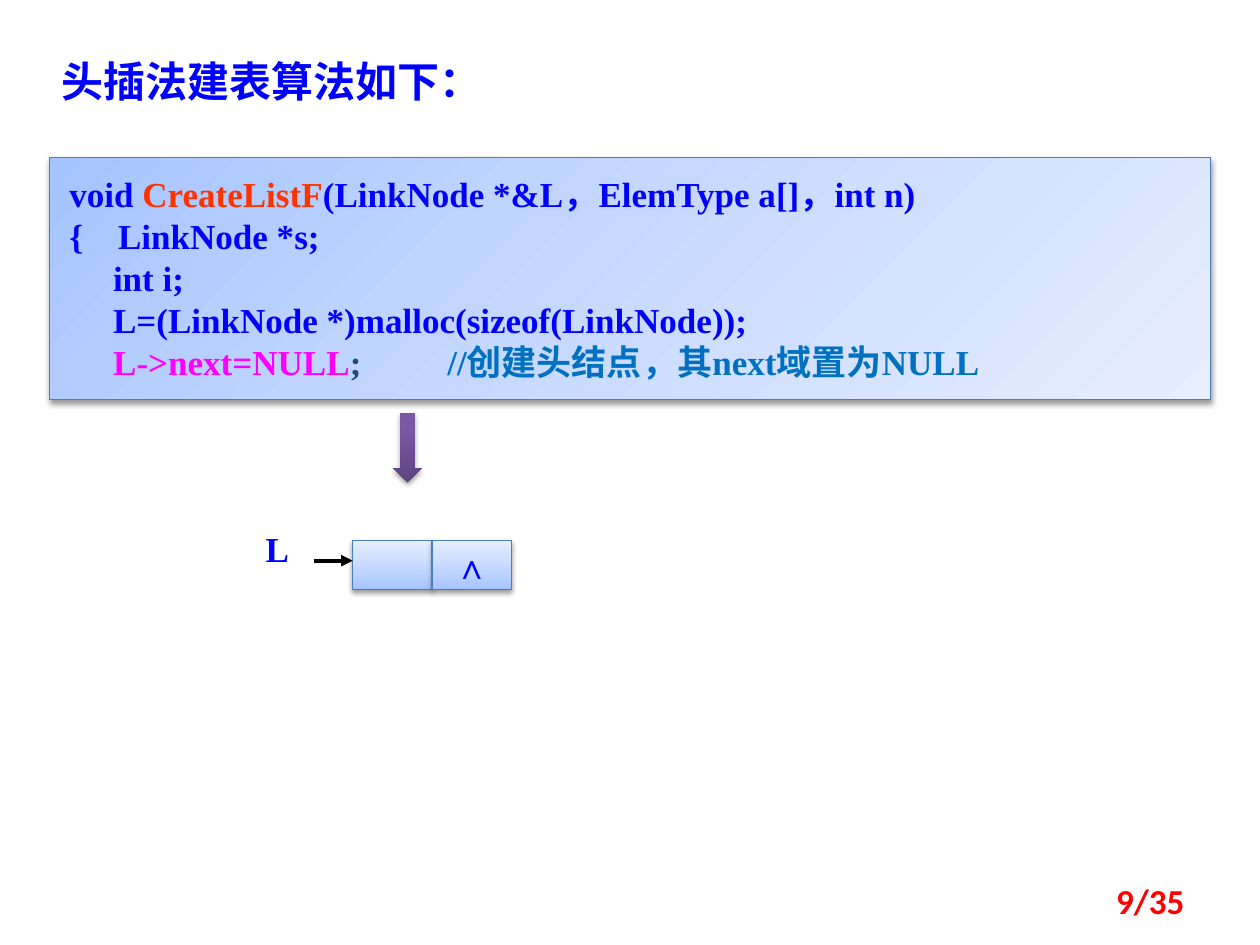
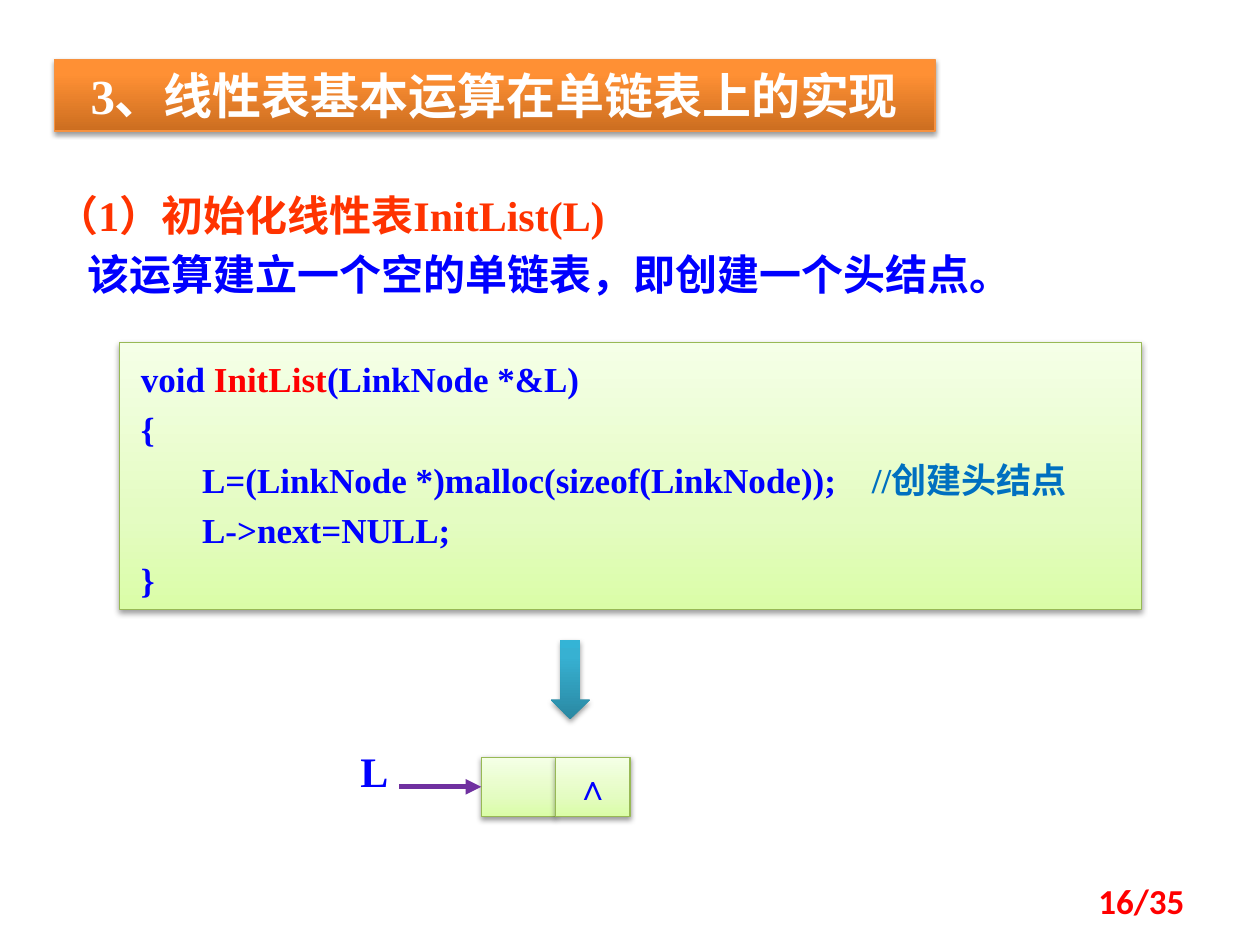
from lxml import etree
from pptx import Presentation
from pptx.dml.color import RGBColor
from pptx.enum.shapes import MSO_CONNECTOR, MSO_SHAPE
from pptx.enum.text import MSO_ANCHOR, MSO_AUTO_SIZE, PP_ALIGN
from pptx.oxml import parse_xml
from pptx.oxml.ns import nsdecls, qn
from pptx.util import Inches, Pt

RECT, DOWN_ARROW = MSO_SHAPE.RECTANGLE, MSO_SHAPE.DOWN_ARROW
STRAIGHT = MSO_CONNECTOR.STRAIGHT
TOP, MIDDLE = MSO_ANCHOR.TOP, MSO_ANCHOR.MIDDLE
LEFT, CENTER, RIGHT = PP_ALIGN.LEFT, PP_ALIGN.CENTER, PP_ALIGN.RIGHT
GROW, FIXED = MSO_AUTO_SIZE.SHAPE_TO_FIT_TEXT, MSO_AUTO_SIZE.NONE

BLUE = RGBColor(0x00, 0x00, 0xFF)
RED = RGBColor(0xFF, 0x00, 0x00)
ORANGE_RED = RGBColor(0xFF, 0x33, 0x00)
MAGENTA = RGBColor(0xFF, 0x00, 0xFF)
NAVY = RGBColor(0x1F, 0x49, 0x7D)
COMMENT = RGBColor(0x00, 0x70, 0xC0)
WHITE = RGBColor(0xFF, 0xFF, 0xFF)
BLACK = RGBColor(0x00, 0x00, 0x00)
PURPLE = RGBColor(0x70, 0x30, 0xA0)
BLUE_EDGE = RGBColor(0x4B, 0x7E, 0xBC)
GREEN_EDGE = RGBColor(0x98, 0xB9, 0x55)
ORANGE_EDGE = RGBColor(0xF6, 0x92, 0x40)

PALE_BLUE = [(0, "A4C4FF"), (35, "BFD4FF"), (100, "E6EEFF")]
PALE_GREEN = [(0, "DAFDA7"), (35, "E4FCC2"), (100, "F5FFE7")]
DEEP_ORANGE = [(0, "CC6E20"), (80, "FF9034"), (100, "FF9136")]
DEEP_PURPLE = [(0, "5F4480"), (80, "7B58A6"), (100, "7C57A8")]
DEEP_TEAL = [(0, "2A88A2"), (80, "37B1D2"), (100, "34B4D6")]

SERIF, SANS, CJK = "Times New Roman", "Calibri", "Noto Sans CJK SC"
TOTAL_PAGES = 35

HEAD_INSERT_TITLE = "头插法建表算法如下："
CREATE_LIST_CODE = [
    [("void ", BLUE), ("CreateListF", ORANGE_RED),
     ("(LinkNode *&L，ElemType a[]，int n)", BLUE)],
    "{    LinkNode *s;",
    "     int i;",
    "     L=(LinkNode *)malloc(sizeof(LinkNode));",
    [("     ", NAVY), ("L->next=NULL", MAGENTA), (";\t\t", NAVY),
     ("//创建头结点，其next域置为NULL", COMMENT)],
]
SECTION_TITLE = "3、线性表基本运算在单链表上的实现"
INIT_HEADING = [("（1）初始化线性表InitList(L)", ORANGE_RED)]
INIT_SUMMARY = "该运算建立一个空的单链表，即创建一个头结点。"
INIT_LIST_CODE = [
    [(" void ", BLUE), ("InitList", RED), ("(LinkNode *&L)", BLUE)],
    " {",
    [("        L=(LinkNode *)malloc(sizeof(LinkNode));    ", BLUE),
     ("//创建头结点", COMMENT)],
    "        L->next=NULL;",
    " }",
]


def write(s, lines, size=20, font=SERIF, color=BLUE, align=LEFT, anchor=TOP,
          spacing=None, insets=(0.1, 0.05), indents=(), wrap=True, fit=GROW):
    tf = s.text_frame
    tf.word_wrap, tf.auto_size, tf.vertical_anchor = wrap, fit, anchor
    tf.margin_left = tf.margin_right = Inches(insets[0])
    tf.margin_top = tf.margin_bottom = Inches(insets[1])
    for i, line in enumerate(lines):
        p = tf.paragraphs[0] if i == 0 else tf.add_paragraph()
        p.alignment = align
        if spacing:
            p.line_spacing = spacing
        if i < len(indents):
            p._p.get_or_add_pPr().set("marL", str(Inches(indents[i])))
        for text, tint in [(line, color)] if isinstance(line, str) else line:
            r = p.add_run()
            r.text = text
            r.font.name, r.font.size, r.font.bold = font, Pt(size), True
            r.font.color.rgb = tint
            etree.SubElement(r._r.rPr, qn("a:ea")).set("typeface", CJK)


def add_text(slide, box, lines, **style):
    s = slide.shapes.add_textbox(*map(Inches, box))
    write(s, lines, **style)


def add_block(slide, box, stops, edge=None, kind=RECT, radial=False):
    s = slide.shapes.add_shape(kind, *map(Inches, box))
    s.shadow.inherit = False
    if edge is None:
        s.line.fill.background()
    else:
        s.line.color.rgb, s.line.width = edge, Pt(0.75)
    marks = "".join(f'<a:gs pos="{pos * 1000}"><a:srgbClr val="{rgb}"/></a:gs>'
                    for pos, rgb in stops)
    course = ('<a:path path="circle"><a:fillToRect r="100000" b="100000"/></a:path>'
              if radial else '<a:lin ang="16200000" scaled="0"/>')
    pr = s._element.spPr
    pr.find(qn("a:prstGeom")).addnext(parse_xml(
        f'<a:gradFill {nsdecls("a")} rotWithShape="1">'
        f'<a:gsLst>{marks}</a:gsLst>{course}</a:gradFill>'))
    pr.find(qn("a:effectLst")).append(parse_xml(
        f'<a:outerShdw {nsdecls("a")} blurRad="{Pt(3.1)}" dist="{Pt(1.6)}" '
        'dir="5400000" rotWithShape="0"><a:srgbClr val="000000">'
        '<a:alpha val="38000"/></a:srgbClr></a:outerShdw>'))
    return s


def add_head_node(slide, left, top, width, height, stops, edge):
    data, link = [add_block(slide, (left + i * width, top, width, height), stops, edge)
                  for i in range(2)]
    write(link, ["∧"], align=CENTER, anchor=MIDDLE, wrap=False, fit=FIXED)
    return data


def add_pointer(slide, start, end, y, color, width):
    c = slide.shapes.add_connector(STRAIGHT, *map(Inches, (start, y, end, y)))
    c.line.color.rgb, c.line.width = color, Pt(width)
    etree.SubElement(c.line._get_or_add_ln(), qn("a:tailEnd")).set("type", "triangle")
    etree.SubElement(c._element.spPr, qn("a:effectLst"))
    return c


def add_slide(prs, page):
    slide = prs.slides.add_slide(prs.slide_layouts[6])
    add_text(slide, (7.17, 6.95, 2.33, 0.4), [f"{page}/{TOTAL_PAGES}"], font=SANS,
             color=RED, align=RIGHT, anchor=MIDDLE, fit=FIXED)
    return slide


def build_head_insert(prs):
    slide = add_slide(prs, 9)
    add_text(slide, (0.39, 0.39, 5.63, 0.5), [HEAD_INSERT_TITLE], size=24, font=CJK)
    code = add_block(slide, (0.39, 1.25, 9.22, 1.92), PALE_BLUE, BLUE_EDGE, radial=True)
    write(code, CREATE_LIST_CODE, insets=(0.16, 0.12))
    add_block(slide, (3.12, 3.28, 0.23, 0.55), DEEP_PURPLE, kind=DOWN_ARROW)
    add_head_node(slide, 2.8, 4.29, 0.63, 0.39, PALE_BLUE, BLUE_EDGE)
    add_pointer(slide, 2.49, 2.8, 4.45, BLACK, 2.25)
    add_text(slide, (2.01, 4.14, 0.55, 0.43), ["L"])


def build_init_list(prs):
    slide = add_slide(prs, 16)
    banner = add_block(slide, (0.43, 0.47, 6.99, 0.57), DEEP_ORANGE, ORANGE_EDGE)
    write(banner, [SECTION_TITLE], size=28, color=WHITE, indents=[0.19])
    add_text(slide, (0.35, 1.38, 9.13, 1.05), [INIT_HEADING, INIT_SUMMARY], size=24,
             spacing=Pt(34), indents=[0, 0.25])
    code = add_block(slide, (0.95, 2.72, 8.11, 2.12), PALE_GREEN, GREEN_EDGE)
    write(code, INIT_LIST_CODE, spacing=1.2)
    add_block(slide, (4.37, 5.08, 0.31, 0.63), DEEP_TEAL, kind=DOWN_ARROW)
    top, height = 6.01, 0.47
    data = add_head_node(slide, 3.82, top, 0.59, height, PALE_GREEN, GREEN_EDGE)
    pointer = add_pointer(slide, 3.17, 3.82, top + height / 2, PURPLE, 3)
    pointer.end_connect(data, 1)
    add_text(slide, (2.86, 5.92, 0.47, 0.4), ["L"], size=24, insets=(0, 0))


def main():
    prs = Presentation()
    prs.slide_width, prs.slide_height = Inches(10), Inches(7.5)
    build_head_insert(prs)
    build_init_list(prs)
    prs.save("out.pptx")


if __name__ == "__main__":
    main()
